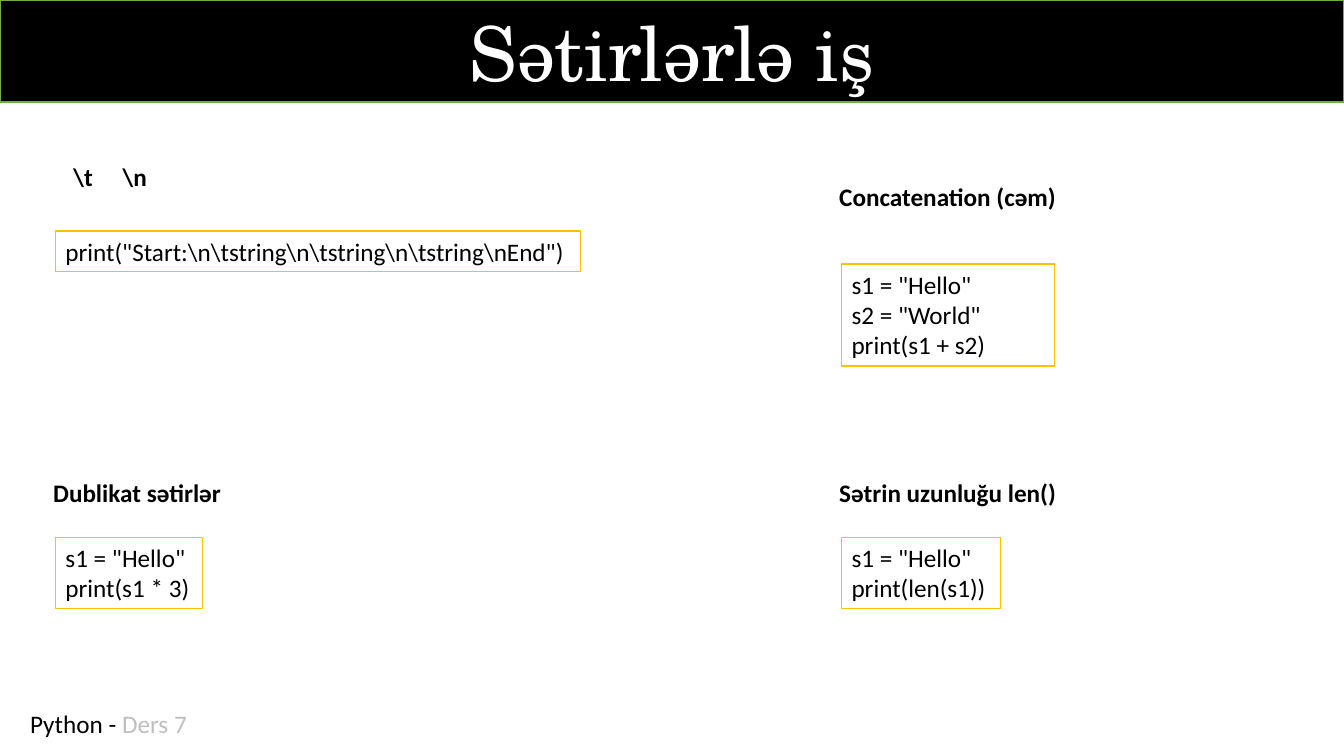
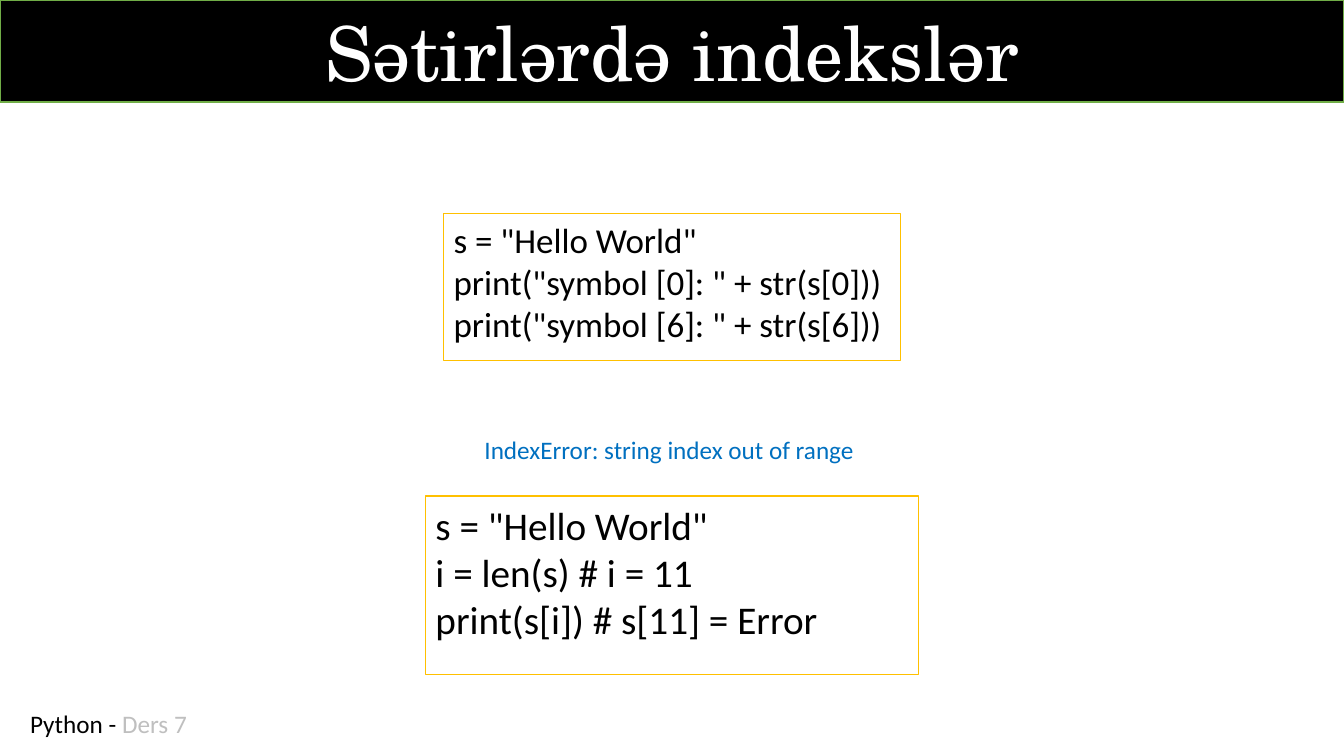
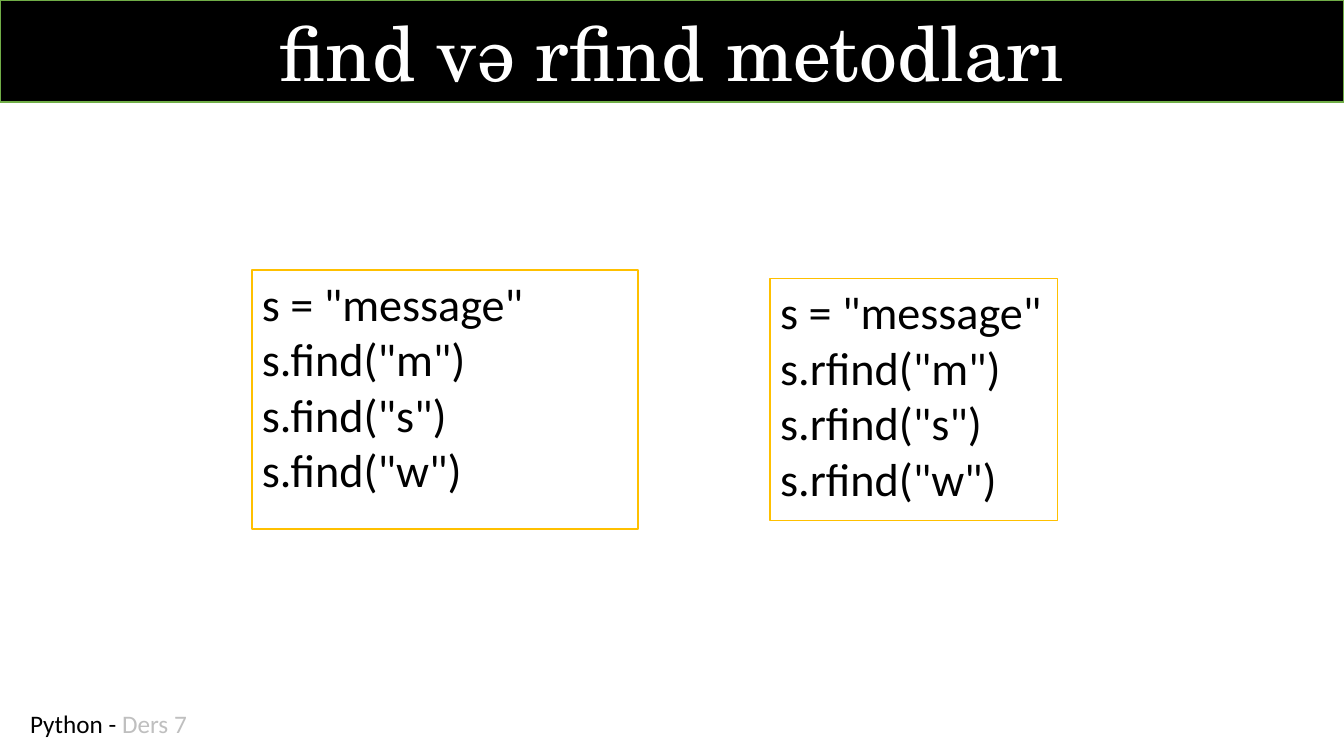
from pptx import Presentation
from pptx.dml.color import RGBColor
from pptx.enum.shapes import MSO_SHAPE
from pptx.enum.text import MSO_ANCHOR, PP_ALIGN
from pptx.util import Cm, Pt

BLACK = RGBColor(0x00, 0x00, 0x00)
WHITE = RGBColor(0xFF, 0xFF, 0xFF)
GREEN = RGBColor(0x70, 0xAD, 0x47)
AMBER = RGBColor(0xFF, 0xC0, 0x00)
GREY = RGBColor(0xBF, 0xBF, 0xBF)
BLUE = RGBColor(0x00, 0x70, 0xC0)

PAGE_WIDTH, PAGE_HEIGHT = 33.87, 19.05
LINE_HEIGHT = 1.02
BODY_FONT, TITLE_FONT = "Calibri", "TeX Gyre Schola"


class Lesson:
    """Holds the deck, its style and the current page; lengths are in cm."""

    def __init__(self):
        self.deck = Presentation()
        self.deck.slide_width = Cm(PAGE_WIDTH)
        self.deck.slide_height = Cm(PAGE_HEIGHT)
        self.page = None

    def start_page(self, title):
        self.page = self.deck.slides.add_slide(self.deck.slide_layouts[6])
        self.footer()
        self.title_band(title)

    def style(self, para, size=18, color=BLACK, bold=False, name=BODY_FONT):
        font = para.font
        font.name, font.size, font.bold = name, Pt(size), bold
        font.color.rgb = color

    def outline(self, box, fill, line):
        box.fill.solid()
        box.fill.fore_color.rgb = fill
        box.line.color.rgb = line
        box.line.width = Pt(1)

    def title_band(self, title):
        band = self.page.shapes.add_shape(
            MSO_SHAPE.RECTANGLE, 0, 0, Cm(PAGE_WIDTH), Cm(2.57))
        band.shadow.inherit = False
        self.outline(band, BLACK, GREEN)
        band.text_frame.vertical_anchor = MSO_ANCHOR.MIDDLE
        para = band.text_frame.paragraphs[0]
        para.text = title
        para.alignment = PP_ALIGN.CENTER
        self.style(para, 54, WHITE, name=TITLE_FONT)

    def footer(self):
        box = self.text("Python - ", 0.51, 17.73, 4.7)
        span = box.text_frame.paragraphs[0].add_run()
        span.text = "Ders 7"
        span.font.color.rgb = GREY

    def text(self, words, left, top, width, height=LINE_HEIGHT, **look):
        box = self.page.shapes.add_textbox(
            Cm(left), Cm(top), Cm(width), Cm(height))
        box.text_frame.word_wrap = True
        box.text_frame.text = words
        for para in box.text_frame.paragraphs:
            self.style(para, **look)
        return box

    def heading(self, words, left, top, width):
        self.text(words, left, top, width, bold=True)

    def code(self, lines, left, top, width, height, size=18):
        box = self.text("\n".join(lines), left, top, width, height, size=size)
        self.outline(box, WHITE, AMBER)

    def centred_code(self, lines, top, width, height, size):
        self.code(lines, (PAGE_WIDTH - width) / 2, top, width, height, size)


def main():
    lesson = Lesson()

    # Working with strings: two columns, headings slightly outdented
    lesson.start_page("Sətirlərlə iş")
    left_column, right_column, outdent = 1.4, 21.21, 0.31
    lower_heading, lower_code = 11.91, 13.54

    lesson.heading(r"\t", 1.6, 3.94, 1.1)
    lesson.heading(r"\n", 2.84, 3.94, 1.2)
    lesson.code([r'print("Start:\n\tstring\n\tstring\n\tstring\nEnd")'],
                left_column, 5.82, 13.23, LINE_HEIGHT)

    lesson.heading("Concatenation (cəm)", right_column - outdent, 4.45, 6.1)
    lesson.code(['s1 = "Hello"', 's2 = "World"', "print(s1 + s2)"],
                right_column, 6.65, 5.36, 2.57)

    for words, call, left, heading_width, code_width in (
            ("Dublikat sətirlər", "print(s1 * 3)", left_column, 4.85, 3.71),
            ("Sətrin uzunluğu len()", "print(len(s1))", right_column, 6.1, 4.01)):
        lesson.heading(words, left - outdent, lower_heading, heading_width)
        lesson.code(['s1 = "Hello"', call], left, lower_code, code_width, 1.8)

    # String indexes: centred code boxes
    lesson.start_page("Sətirlərdə indekslər")
    symbols = [f'print("symbol [{index}]: " + str(s[{index}]))' for index in (0, 6)]
    lesson.centred_code(['s = "Hello World"', *symbols], 5.38, 11.51, 3.71, 25)
    lesson.centred_code(
        ['s = "Hello World"', "i = len(s) # i = 11", "print(s[i]) # s[11] = Error"],
        12.5, 12.42, 4.5, 28)
    lesson.text("IndexError: string index out of range",
                11.96, 10.82, 9.93, color=BLUE)

    # find and rfind: two boxes on a shared middle line
    lesson.start_page("find və rfind metodları")
    middle = 10.07
    for method, left, width, height in (("find", 6.35, 9.73, 6.53),
                                        ("rfind", 19.41, 7.24, 6.1)):
        calls = [f's.{method}("{letter}")' for letter in "msw"]
        lesson.code(['s = "message"', *calls],
                    left, middle - height / 2, width, height, 33)

    lesson.deck.save("out.pptx")


if __name__ == "__main__":
    main()
